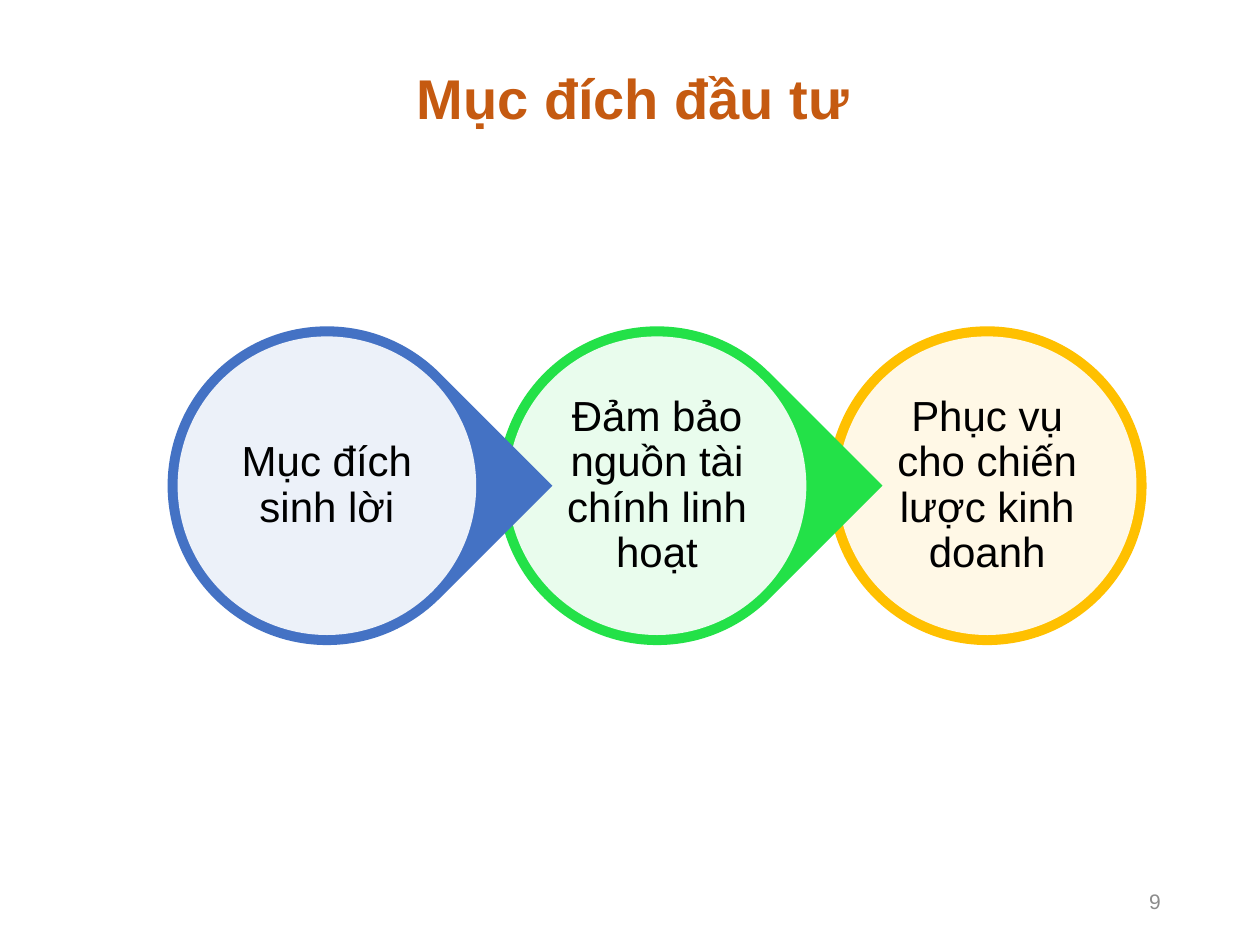
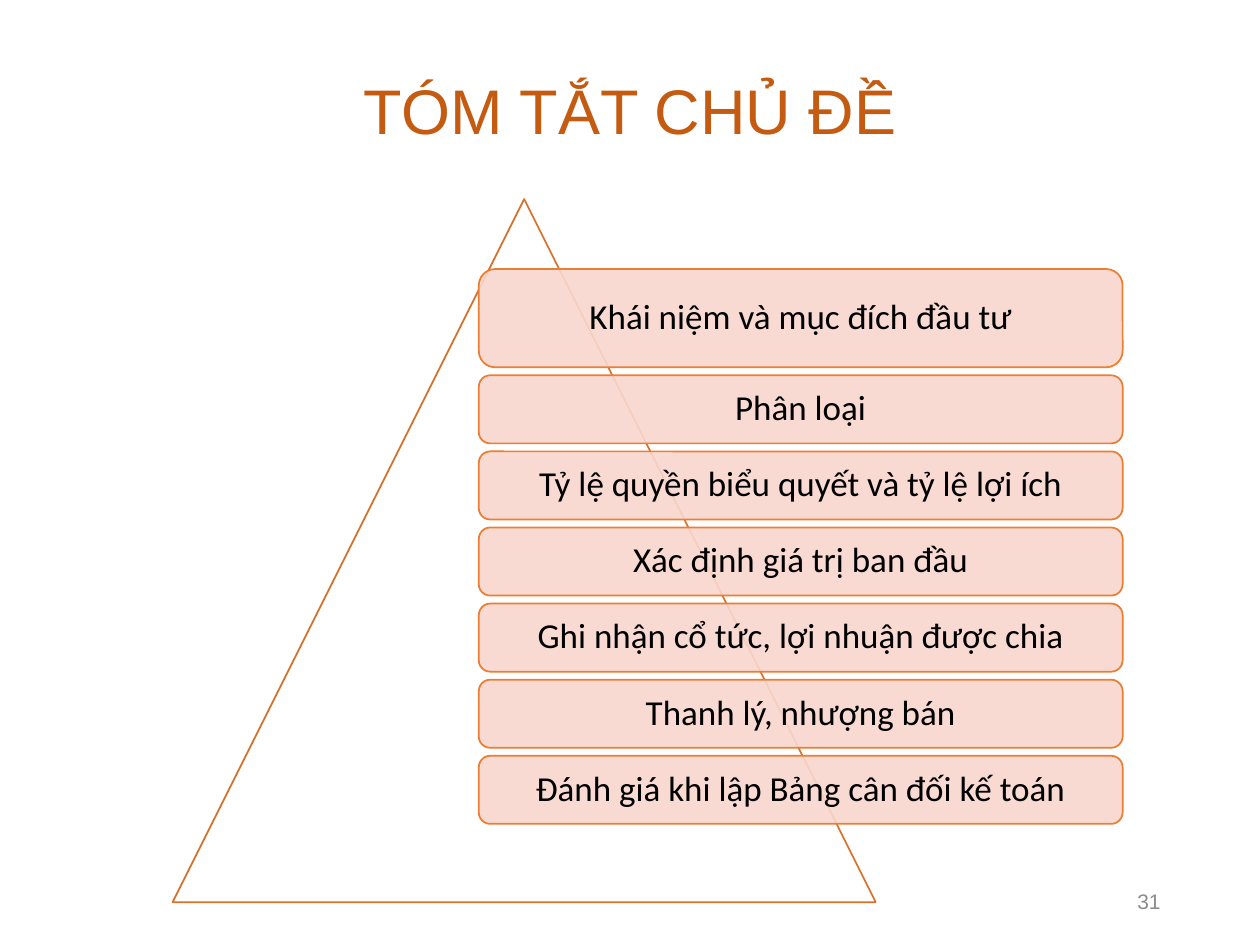
import pptx
import pptx.dml.color
import pptx.enum.shapes
import pptx.enum.text
import pptx.oxml.xmlchemy
import pptx.util
from lxml import etree

RGBColor = pptx.dml.color.RGBColor
Shape = pptx.enum.shapes.MSO_SHAPE
Align = pptx.enum.text.PP_ALIGN

RUST = RGBColor(0xC5, 0x5A, 0x11)
COPPER = RGBColor(0xD7, 0x71, 0x2C)
ORANGE = RGBColor(0xED, 0x7D, 0x31)
PEACH = RGBColor(0xF8, 0xD7, 0xCE)
BLUE = RGBColor(0x44, 0x72, 0xC4)
GREEN = RGBColor(0x23, 0xE1, 0x48)
GOLD = RGBColor(0xFF, 0xC0, 0x00)
GREY = RGBColor(0x8C, 0x8C, 0x8C)
BLACK = RGBColor(0, 0, 0)
WHITE = RGBColor(0xFF, 0xFF, 0xFF)

SLIDE_WIDTH = pptx.util.Inches(10)
SLIDE_HEIGHT = pptx.util.Inches(7.5)
COLUMNS = 100
CELL = SLIDE_WIDTH // COLUMNS

PURPOSES = [
    ("Mục đích sinh lời", BLUE),
    ("Đảm bảo nguồn tài chính linh hoạt", GREEN),
    ("Phục vụ cho chiến lược kinh doanh", GOLD),
]
TOPICS = [
    "Khái niệm và mục đích đầu tư",
    "Phân loại",
    "Tỷ lệ quyền biểu quyết và tỷ lệ lợi ích",
    "Xác định giá trị ban đầu",
    "Ghi nhận cổ tức, lợi nhuận được chia",
    "Thanh lý, nhượng bán",
    "Đánh giá khi lập Bảng cân đối kế toán",
]


def cells(*counts):
    """Turn counts of square grid cells into slide lengths."""
    return [round(count * CELL) for count in counts]


def write(shape, text, size, color, font="Arial", bold=False,
          align=Align.CENTER, spacing=0.9, inset=None):
    """Write one vertically centred paragraph into a shape."""
    frame = shape.text_frame
    frame.word_wrap = True
    frame.vertical_anchor = pptx.enum.text.MSO_ANCHOR.MIDDLE
    if inset is not None:
        frame.margin_left = frame.margin_right = pptx.util.Inches(inset)
        frame.margin_top = frame.margin_bottom = pptx.util.Inches(inset)
    para = frame.paragraphs[0]
    para.text = text
    para.alignment = align
    para.line_spacing = spacing
    para.font.name = font
    para.font.size = pptx.util.Pt(size)
    para.font.bold = bold
    para.font.color.rgb = color


def add_figure(page, kind, place, fill, line=None, opacity=100):
    """Add a flat preset shape at a place given in grid cells."""
    figure = page.shapes.add_shape(kind, *cells(*place))
    figure.shadow.inherit = False
    figure.fill.solid()
    figure.fill.fore_color.rgb = fill
    if opacity < 100:
        color = figure.fill._xPr.find(".//" + pptx.oxml.ns.qn("a:srgbClr"))
        alpha = etree.SubElement(color, pptx.oxml.ns.qn("a:alpha"))
        alpha.set("val", str(opacity * 1000))
    if line is None:
        figure.line.fill.background()
    else:
        figure.line.color.rgb = line
        figure.line.width = pptx.util.Pt(1)
    return figure


def add_page(deck, title, place, size, number, bold=False):
    """Add a blank page with its title and page number."""
    page = deck.slides.add_slide(deck.slide_layouts[6])
    heading = page.shapes.add_textbox(*cells(*place))
    write(heading, title, size, RUST, bold=bold)
    footer = page.shapes.add_textbox(*cells(70.6, 69.5, 22.5, 4))
    write(footer, number, 12, GREY, align=Align.RIGHT, spacing=1)
    return page


def add_purpose_chain(page):
    """Draw the purposes as rings that point to the next one."""
    left, top, ring, pitch, rim = 13.3, 25.9, 25.3, 26.2, 0.8
    last = len(PURPOSES) - 1
    for index, (text, color) in reversed(list(enumerate(PURPOSES))):
        start = left + index * pitch
        kind = Shape.OVAL if index == last else Shape.TEAR
        outer = add_figure(page, kind, (start, top, ring, ring), color)
        outer.rotation = 0 if index == last else 45
        disc = ring - 2 * rim
        inner = add_figure(page, Shape.OVAL,
                           (start + rim, top + rim, disc, disc), WHITE, opacity=90)
        write(inner, text, 24, BLACK, inset=0.03)


def add_topic_stack(page):
    """Draw the topics as a stack of bars over a triangle."""
    add_figure(page, Shape.ISOSCELES_TRIANGLE, (13.7, 15.8, 55.8, 55.8), WHITE, COPPER)
    top, gap = 21.35, 0.64
    for index, topic in enumerate(TOPICS):
        height = 7.8 if index == 0 else 5.4
        bar = add_figure(page, Shape.ROUNDED_RECTANGLE,
                         (38, top, 51.1, height), PEACH, ORANGE, opacity=90)
        write(bar, topic, 20, BLACK, font="Calibri", inset=0.08)
        top += height + gap


def main():
    """Build the deck and save it."""
    deck = pptx.Presentation()
    deck.slide_width, deck.slide_height = SLIDE_WIDTH, SLIDE_HEIGHT
    purposes = add_page(deck, "Mục đích đầu tư", (5.2, 4, 90.1, 8.1), 32, "9", bold=True)
    add_purpose_chain(purposes)
    summary = add_page(deck, "TÓM TẮT CHỦ ĐỀ", (6.9, 4, 86.2, 10.1), 36, "31")
    add_topic_stack(summary)
    deck.save("out.pptx")


if __name__ == "__main__":
    main()
